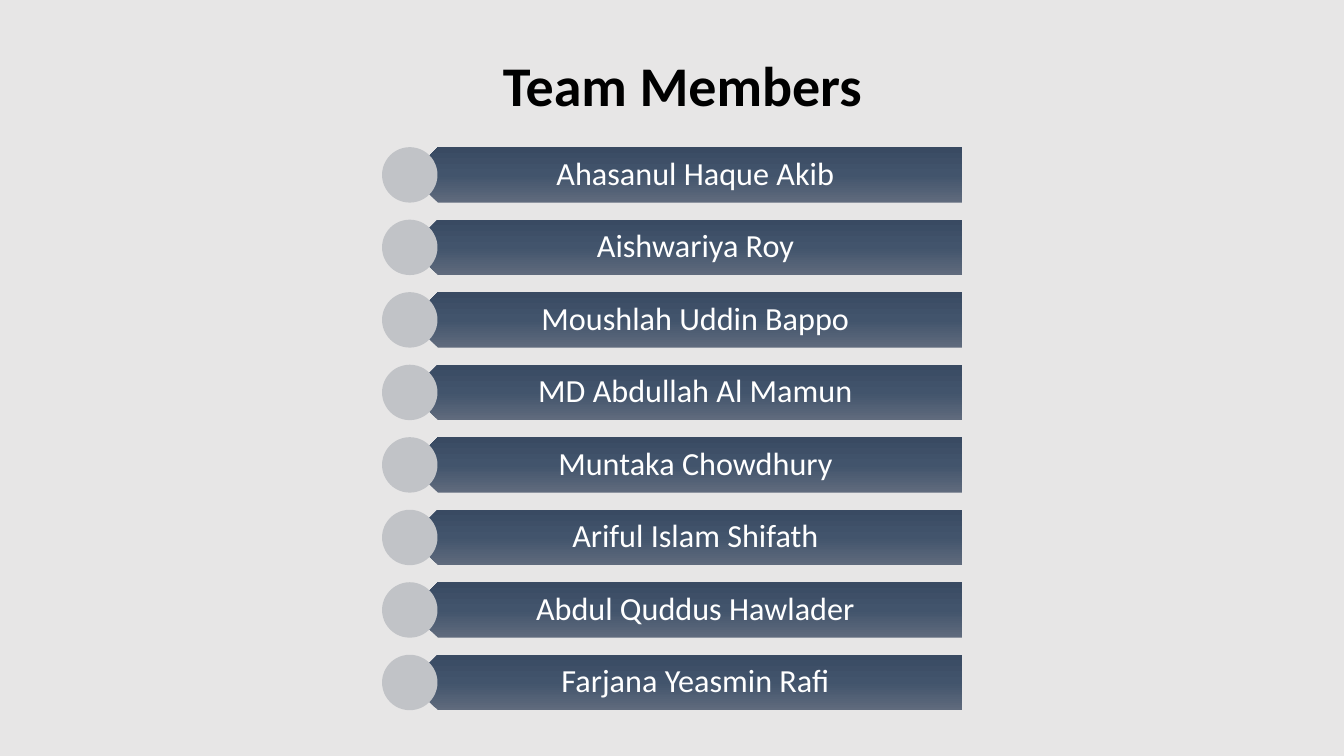
from dataclasses import dataclass

from lxml import etree
from pptx import Presentation
from pptx.dml.color import RGBColor
from pptx.enum.shapes import MSO_SHAPE
from pptx.enum.text import MSO_ANCHOR, MSO_AUTO_SIZE, PP_ALIGN
from pptx.oxml.ns import qn
from pptx.util import Pt

PENTAGON = MSO_SHAPE.PENTAGON
OVAL = MSO_SHAPE.OVAL
MIDDLE = MSO_ANCHOR.MIDDLE
CENTER = PP_ALIGN.CENTER
GROW = MSO_AUTO_SIZE.SHAPE_TO_FIT_TEXT


@dataclass(frozen=True)
class Theme:
    background: str = "E7E6E6"
    bar_stops: tuple = ((0, "606B7D"), (50, "42546C"), (100, "394A62"))
    circle: str = "C1C3C7"
    title: str = "000000"
    name: str = "FFFFFF"
    font: str = "Calibri"
    title_size: int = 40
    name_size: int = 23


THEME = Theme()
MEMBERS = (
    "Ahasanul Haque Akib",
    "Aishwariya Roy",
    "Moushlah Uddin Bappo",
    "MD Abdullah Al Mamun",
    "Muntaka Chowdhury",
    "Ariful Islam Shifath",
    "Abdul Quddus Hawlader",
    "Farjana Yeasmin Rafi",
)
FIRST_TOP = 105.1
ROW_PITCH = 51.8
ROW_HEIGHT = 39.6


def add_plain_shape(page, kind, left, top, width, height):
    shape = page.shapes.add_shape(kind, Pt(left), Pt(top), Pt(width), Pt(height))
    shape.shadow.inherit = False
    shape.line.fill.background()
    return shape


def fill_gradient(shape, stops):
    """Fill with a vertical gradient of any number of (percent, colour) stops."""
    shape.fill.gradient()
    shape.fill.gradient_angle = 270
    stop_list = shape.fill._fill._gradFill.find(qn("a:gsLst"))
    for stop in list(stop_list):
        stop_list.remove(stop)
    for percent, color in stops:
        stop = etree.SubElement(stop_list, qn("a:gs"), pos=str(percent * 1000))
        etree.SubElement(stop, qn("a:srgbClr"), val=color)


def add_text(page, text, left, top, width, height, frame_format, font_format, color):
    box = page.shapes.add_textbox(Pt(left), Pt(top), Pt(width), Pt(height))
    frame = box.text_frame
    para = frame.paragraphs[0]
    para.text = text
    para.alignment = CENTER
    font = para.runs[0].font
    font.color.rgb = RGBColor.from_string(color)
    for target, values in ((frame, frame_format), (font, font_format)):
        for name, value in values.items():
            setattr(target, name, value)
    return para


def add_member(page, name, top):
    bar = add_plain_shape(page, PENTAGON, 293, top, 394, ROW_HEIGHT)
    bar.rotation = 180
    fill_gradient(bar, THEME.bar_stops)
    para = add_text(
        page, name, 302.4, top, 384.5, ROW_HEIGHT,
        {"word_wrap": True, "vertical_anchor": MIDDLE,
         "margin_left": Pt(17.5), "margin_right": Pt(13),
         "margin_top": Pt(7), "margin_bottom": Pt(7)},
        {"name": THEME.font, "size": Pt(THEME.name_size)},
        THEME.name,
    )
    para.line_spacing = 0.9
    circle = add_plain_shape(page, OVAL, 272.9, top, ROW_HEIGHT, ROW_HEIGHT)
    circle.fill.solid()
    circle.fill.fore_color.rgb = RGBColor.from_string(THEME.circle)


def main():
    deck = Presentation()
    deck.slide_width, deck.slide_height = Pt(960), Pt(540)
    page = deck.slides.add_slide(deck.slide_layouts[6])
    page.background.fill.solid()
    page.background.fill.fore_color.rgb = RGBColor.from_string(THEME.background)
    for row, name in enumerate(MEMBERS):
        add_member(page, name, FIRST_TOP + row * ROW_PITCH)
    add_text(
        page, "Team Members", 279.4, 32.4, 416, 55.7,
        {"word_wrap": True, "auto_size": GROW},
        {"name": THEME.font, "size": Pt(THEME.title_size), "bold": True},
        THEME.title,
    )
    deck.save("out.pptx")


if __name__ == "__main__":
    main()
